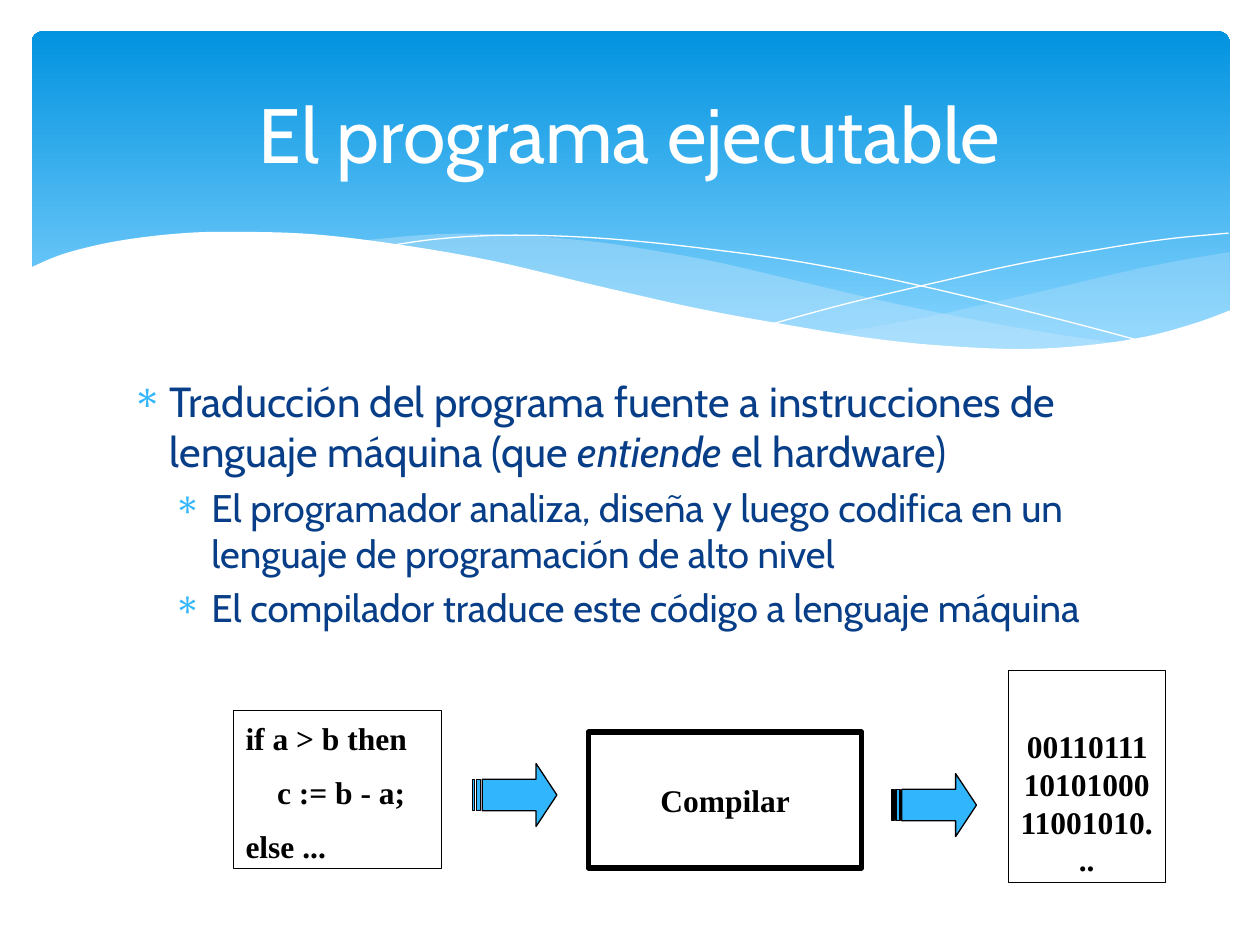
from lxml.etree import SubElement
from pptx import Presentation
from pptx.dml.color import RGBColor
from pptx.enum.shapes import MSO_SHAPE
from pptx.enum.text import MSO_ANCHOR, PP_ALIGN
from pptx.oxml.ns import qn
from pptx.util import Pt

PX = 9144
BLUE, NAVY, PALE = "31B6FD", "073E87", "C6E7FC"
BLACK, WHITE = "000000", "FFFFFF"
HEADING, CODE = "Cabin", "Times New Roman"


def color(value):
    return RGBColor.from_string(value)


def smooth(knots, steps=6):
    padded = [knots[0], *knots, knots[-1]]
    curve = []
    for a, b, c, d in zip(padded, padded[1:], padded[2:], padded[3:]):
        for step in range(steps):
            t = step / steps
            curve.append(tuple(
                q + t * ((r - p) + t * ((2 * p - 5 * q + 4 * r - s) + t * (3 * q - p - 3 * r + s))) / 2
                for p, q, r, s in zip(a, b, c, d)))
    return curve + [knots[-1]]


class SlideBuilder:
    """Holds the style and the current slide, and draws each kind of element."""

    def __init__(self, presentation):
        self.slide = presentation.slides.add_slide(presentation.slide_layouts[6])
        self.shapes = self.slide.shapes

    def paint(self, shape, fill=None, line=None, weight=0.75, alpha=None):
        shape.shadow.inherit = False
        if fill:
            shape.fill.solid()
            shape.fill.fore_color.rgb = color(fill)
        else:
            shape.fill.background()
        if alpha:
            tint = shape.fill._xPr.find(qn("a:solidFill"))[0]
            SubElement(tint, qn("a:alpha")).set("val", str(alpha * 1000))
        if line:
            shape.line.color.rgb = color(line)
            shape.line.width = Pt(weight)
        else:
            shape.line.fill.background()

    def preset(self, kind, box, **paint):
        shape = self.shapes.add_shape(kind, *(v * PX for v in box))
        self.paint(shape, **paint)
        return shape

    def banner(self, box, bottom, top):
        shape = self.preset(MSO_SHAPE.ROUNDED_RECTANGLE, box)
        shape.adjustments[0] = 0.034
        shape.fill.gradient()
        shape.fill.gradient_angle = 90
        for stop, position, tone in zip(shape.fill.gradient_stops, (0.1, 1), (bottom, top)):
            stop.position = position
            stop.color.rgb = color(tone)

    def outline(self, points, closed=True, **paint):
        start, *rest = [(x * PX, y * PX) for x, y in points]
        builder = self.shapes.build_freeform(*start)
        builder.add_line_segments(rest, close=closed)
        self.paint(builder.convert_to_shape(), **paint)

    def arrow(self, left, top):
        shape = self.preset(MSO_SHAPE.STRIPED_RIGHT_ARROW, (left, top, 67, 50), fill=BLUE, line=BLACK)
        shape.adjustments[0] = 0.5
        shape.adjustments[1] = 0.33

    def style(self, paragraph, size, font, tone, bold=False):
        for run in paragraph.runs:
            run.font.size = Pt(size)
            run.font.name = font
            run.font.color.rgb = color(tone)
            run.font.bold = bold

    def title(self, box, text):
        frame = self.shapes.add_textbox(*(v * PX for v in box)).text_frame
        frame.word_wrap = True
        frame.vertical_anchor = MSO_ANCHOR.MIDDLE
        frame.text = text
        frame.paragraphs[0].alignment = PP_ALIGN.CENTER
        self.style(frame.paragraphs[0], 44, HEADING, WHITE)

    def bullets(self, box, items):
        frame = self.shapes.add_textbox(*(v * PX for v in box)).text_frame
        frame.word_wrap = True
        frame.text = "\n".join("".join(parts) for _, parts in items)
        for paragraph, (level, parts) in zip(frame.paragraphs, items):
            size, indent = ((24, 30), (22, 63))[level]
            paragraph.text = parts[0]
            for part in parts[1:]:
                paragraph.add_run().text = part
            paragraph.level = level
            paragraph.space_before = Pt(size / 5)
            self.style(paragraph, size, HEADING, NAVY)
            for emphasis in paragraph.runs[1::2]:
                emphasis.font.italic = True
            properties = paragraph._p.get_or_add_pPr()
            properties.set("marL", str(indent * PX))
            properties.set("indent", str(-30 * PX))
            SubElement(SubElement(properties, qn("a:buClr")), qn("a:srgbClr")).set("val", BLUE)
            SubElement(properties, qn("a:buChar")).set("char", "∗")

    def code_box(self, box, lines, align=PP_ALIGN.LEFT, anchor=MSO_ANCHOR.TOP, inset=5, indents=(), **paint):
        shape = self.preset(MSO_SHAPE.RECTANGLE, box, line=BLACK, **paint)
        frame = shape.text_frame
        frame.word_wrap = True
        frame.vertical_anchor = anchor
        frame.margin_top = inset * PX
        frame.text = "\n".join(lines)
        for paragraph in frame.paragraphs:
            paragraph.alignment = align
            paragraph.space_before = Pt(9)
            self.style(paragraph, 18, CODE, BLACK, bold=True)
        for paragraph, indent in zip(frame.paragraphs, indents):
            paragraph._p.get_or_add_pPr().set("marL", str(indent * PX))


def main():
    presentation = Presentation()
    presentation.slide_width, presentation.slide_height = 1000 * PX, 750 * PX
    page = SlideBuilder(presentation)

    page.banner((25, 25, 951, 270), bottom="83D3FE", top="0293E0")
    right_swell = smooth([(976, 200), (935, 207), (891, 216), (832, 230), (779, 242), (729, 253), (661, 265)])
    right_base = smooth([(661, 265), (705, 271), (757, 276), (803, 278), (854, 276), (897, 270),
                         (935, 261), (976, 247)])
    page.outline(right_swell + right_base, fill=PALE, alpha=29)
    middle_swell = smooth([(893, 273), (837, 265), (775, 254), (706, 240), (629, 222), (569, 208), (514, 198),
                           (465, 191), (399, 186), (344, 186), (286, 191)])
    middle_base = smooth([(286, 191), (342, 199), (404, 211), (449, 222), (530, 240), (601, 255), (665, 266),
                          (722, 274), (773, 277), (818, 278), (857, 277), (893, 273)])
    page.outline(middle_swell + middle_base, fill=PALE, alpha=40)
    falling_line = [(309, 195), (344, 190), (387, 187), (433, 187), (489, 190), (557, 197), (636, 208),
                    (727, 226), (831, 251), (907, 271)]
    rising_line = [(613, 257), (672, 241), (748, 223), (806, 210), (866, 199), (924, 190), (975, 185)]
    for line in (falling_line, rising_line):
        page.outline(smooth(line), closed=False, line=WHITE)
    white_wave = smooth([(23, 213), (52, 201), (95, 191), (146, 185), (193, 184), (250, 186), (316, 194),
                         (391, 207), (475, 227), (555, 245), (626, 258), (688, 268), (744, 274),
                         (809, 277), (863, 274), (910, 267), (950, 256), (977, 246)])
    page.outline(white_wave + [(977, 329), (23, 329)], fill=WHITE)

    page.bullets((95, 293, 810, 377), [
        (0, ["Traducción del programa fuente a instrucciones de lenguaje máquina (que ",
             "entiende", " el hardware)"]),
        (1, ["El programador analiza, diseña y luego codifica en un lenguaje de programación de alto nivel"]),
        (1, ["El compilador traduce este código a lenguaje máquina"]),
    ])
    page.title((50, 37, 900, 137), "El programa ejecutable")

    page.code_box((185, 564, 165, 125), ["if a > b then", "c := b - a;", "else ..."],
                  inset=7, indents=(0, 25, 0), weight=0.25)
    page.arrow(375, 606)
    page.code_box((467, 581, 217, 108), ["Compilar"], align=PP_ALIGN.CENTER,
                  anchor=MSO_ANCHOR.MIDDLE, fill=WHITE, weight=3)
    page.arrow(708, 614)
    page.code_box((800, 532, 125, 168), ["001101111010100011001010..."],
                  align=PP_ALIGN.CENTER, inset=45, weight=0.25)

    presentation.save("out.pptx")


if __name__ == "__main__":
    main()
